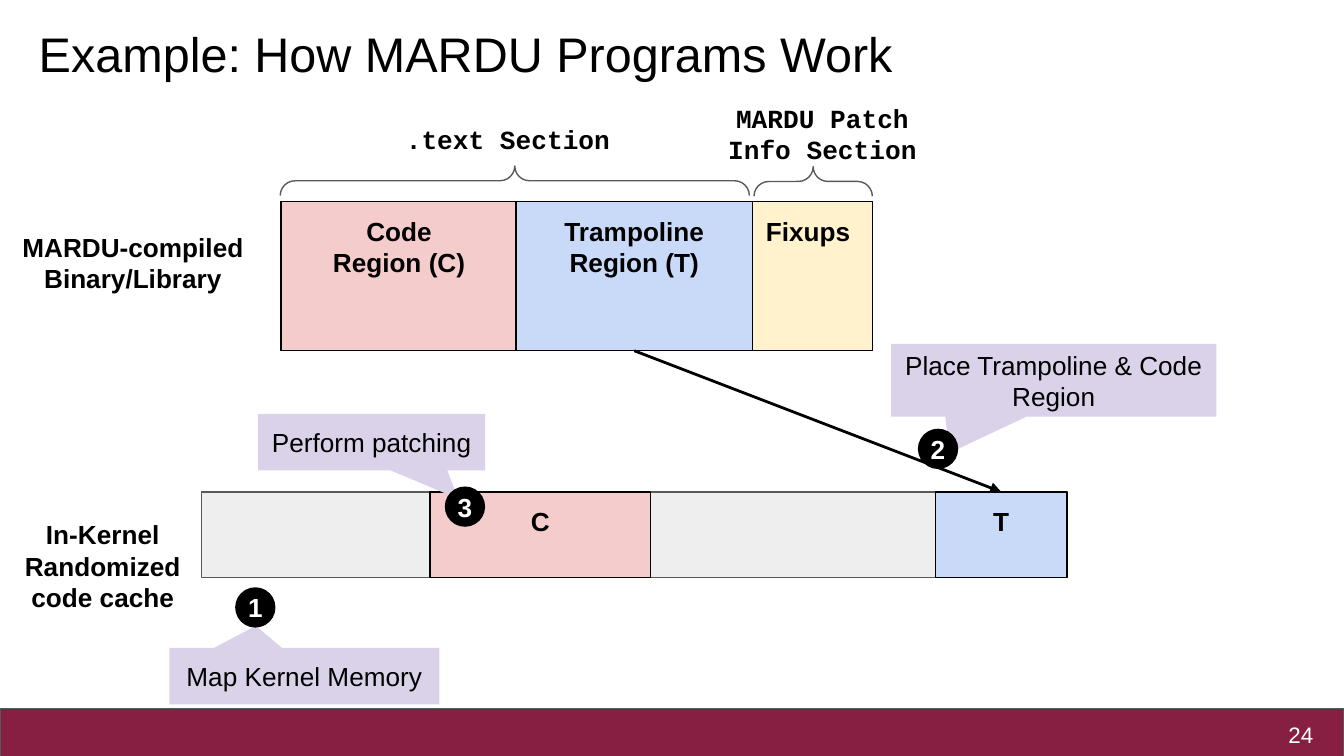
"""Builds the slide showing how MARDU programs are loaded and patched."""
from lxml.etree import SubElement
from pptx import Presentation
from pptx.dml.color import RGBColor
from pptx.enum.shapes import MSO_CONNECTOR, MSO_SHAPE
from pptx.enum.text import MSO_ANCHOR, PP_ALIGN
from pptx.oxml.ns import qn
from pptx.util import Inches, Pt

COLORS = {
    "maroon": "861F41", "gray": "595959", "black": "000000", "white": "FFFFFF",
    "code": "F4CCCC", "trampoline": "C9DAF8", "fixups": "FFF2CC",
    "cache": "EEEEEE", "callout": "D9D2E9",
}

prs = Presentation()
prs.slide_width, prs.slide_height = Inches(10), Inches(5.625)
s = prs.slides.add_slide(prs.slide_layouts[6])


def add_shape(kind, box, fill=None, line=None):
    sp = s.shapes.add_shape(kind, *map(Inches, box))
    sp.shadow.inherit = False
    if fill:
        sp.fill.solid()
        sp.fill.fore_color.rgb = RGBColor.from_string(COLORS[fill])
    else:
        sp.fill.background()
    if line:
        sp.line.color.rgb = RGBColor.from_string(COLORS[line])
        sp.line.width = Pt(0.75)
    else:
        sp.line.fill.background()
    return sp


def set_text(sp, text, size=14, bold=True, color="black", font="Arial",
             align=PP_ALIGN.CENTER, anchor=MSO_ANCHOR.TOP, inset=0.03):
    tf = sp.text_frame
    tf.text = text
    tf.word_wrap = True
    tf.vertical_anchor = anchor
    tf.margin_left = tf.margin_right = tf.margin_top = tf.margin_bottom = Inches(inset)
    for p in tf.paragraphs:
        p.alignment = align
        for r in p.runs:
            r.font.name, r.font.size, r.font.bold = font, Pt(size), bold
            r.font.color.rgb = RGBColor.from_string(COLORS[color])


add_shape(MSO_SHAPE.RECTANGLE, (0, 5.27, 10, 0.37), "maroon", "gray")
add_shape(MSO_SHAPE.RECTANGLE, (2.09, 1.5, 4.4, 1.11), "white", "black")
add_shape(MSO_SHAPE.RECTANGLE, (1.5, 3.66, 6.44, 0.64), "cache", "gray")

title = s.shapes.add_textbox(*map(Inches, (0.19, 0.08, 8.26, 0.63)))
set_text(title, "Example: How MARDU Programs Work", 26, False,
         align=PP_ALIGN.LEFT, inset=0.1)
number = s.shapes.add_textbox(*map(Inches, (9.27, 5.28, 0.6, 0.37)))
set_text(number, "24", 12, False, "white", align=PP_ALIGN.RIGHT,
         anchor=MSO_ANCHOR.MIDDLE, inset=0.1)

regions = {}
for text, box, fill, align in [
    ("Code\nRegion (C)", (2.09, 1.5, 1.76, 1.11), "code", PP_ALIGN.CENTER),
    ("Trampoline\nRegion (T)", (3.84, 1.5, 1.76, 1.11), "trampoline", PP_ALIGN.CENTER),
    ("Fixups", (5.6, 1.5, 0.89, 1.11), "fixups", PP_ALIGN.LEFT),
    ("T", (6.96, 3.66, 0.98, 0.64), "trampoline", PP_ALIGN.CENTER),
    ("C", (3.2, 3.66, 1.64, 0.64), "code", PP_ALIGN.CENTER),
]:
    sp = add_shape(MSO_SHAPE.RECTANGLE, box, fill, "black")
    set_text(sp, text, align=align, inset=0.1)
    regions[text] = sp

for box in [(3.72, -0.4, 0.22, 3.49), (5.94, 0.91, 0.22, 0.88)]:
    brace = add_shape(MSO_SHAPE.LEFT_BRACE, box, line="gray")
    brace.adjustments[0] = 0.5
    brace.rotation = 90

for text, box, font in [
    (".text Section", (2.57, 0.89, 2.42, 0.28), "Courier New"),
    ("MARDU Patch Info Section", (5.35, 0.73, 1.54, 0.28), "Courier New"),
    ("MARDU-compiled Binary/Library", (0.11, 1.69, 1.76, 0.54), "Arial"),
    ("In-Kernel Randomized code cache", (0.03, 3.83, 1.47, 0.8), "Arial"),
]:
    set_text(s.shapes.add_textbox(*map(Inches, box)), text, font=font)

arrow = s.shapes.add_connector(MSO_CONNECTOR.STRAIGHT, Inches(4.72), Inches(2.61),
                               Inches(7.45), Inches(3.66))
arrow.begin_connect(regions["Trampoline\nRegion (T)"], 2)
arrow.end_connect(regions["T"], 0)
arrow.line.color.rgb = RGBColor.from_string(COLORS["black"])
arrow.line.width = Pt(1.5)
SubElement(arrow.line._get_or_add_ln(), qn("a:tailEnd"), type="triangle")
SubElement(arrow._element.spPr, qn("a:effectLst"))

for text, box, tip in [
    ("Place Trampoline & Code Region", (6.63, 2.56, 2.42, 0.54), (-0.32, 1)),
    ("Map Kernel Memory", (1.26, 4.82, 2.01, 0.42), (-0.18, -0.89)),
    ("Perform patching", (1.92, 3.08, 1.69, 0.42), (0.38, 1)),
]:
    sp = add_shape(MSO_SHAPE.ROUNDED_RECTANGULAR_CALLOUT, box, "callout")
    for i, value in enumerate((*tip, 0)):
        sp.adjustments[i] = value
    set_text(sp, text, bold=False, anchor=MSO_ANCHOR.MIDDLE)

for step, x, y in [("3", 3.31, 3.62), ("1", 1.75, 4.37), ("2", 6.83, 3.19)]:
    sp = add_shape(MSO_SHAPE.OVAL, (x, y, 0.3, 0.3), "black")
    set_text(sp, step, color="white", anchor=MSO_ANCHOR.MIDDLE, inset=0)

prs.save("out.pptx")
